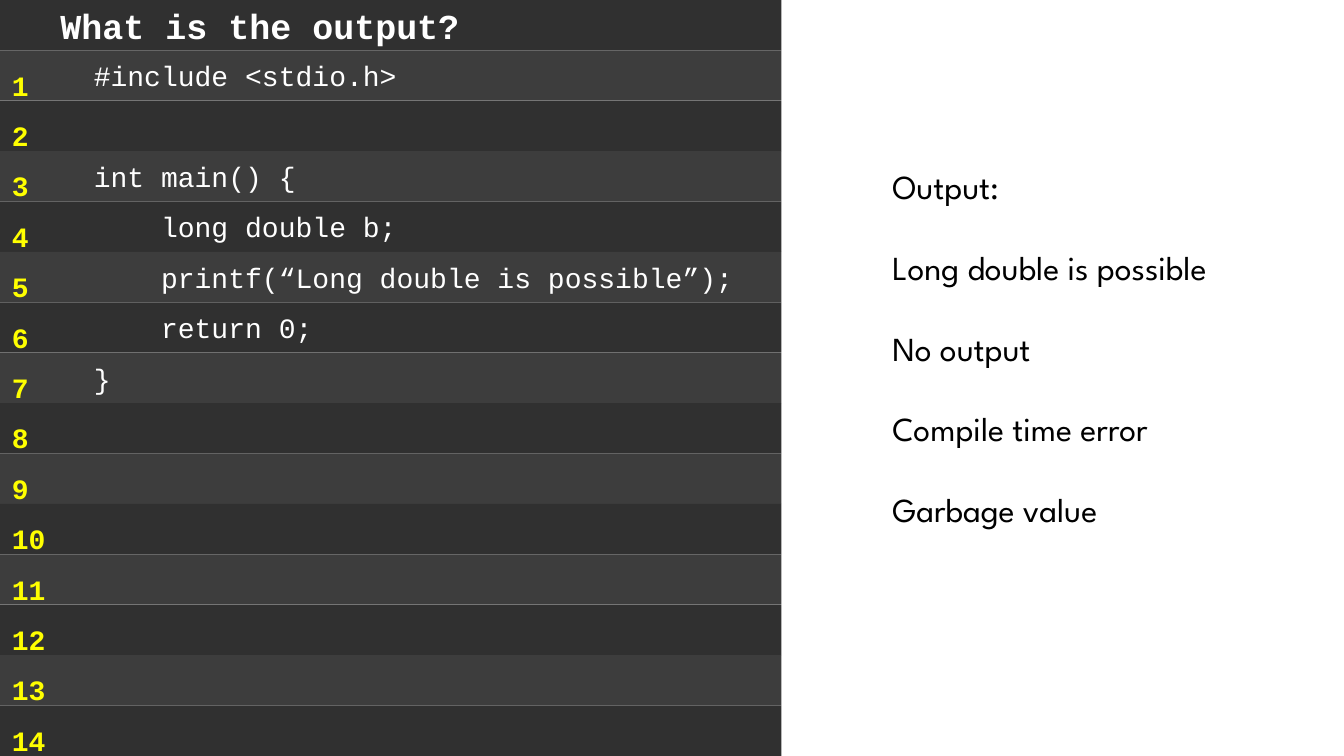
import pptx
import pptx.util
import pptx.dml.color
import pptx.enum.shapes
import pptx.enum.text

TITLE = "What is the output?"
CODE = [
    "#include <stdio.h>",
    "",
    "int main() {",
    "    long double b;",
    "    printf(“Long double is possible”);",
    "    return 0;",
    "}",
]
ANSWERS = [
    "Output:",
    "Long double is possible",
    "No output",
    "Compile time error",
    "Garbage value",
]
COLORS = {
    "dark": "303030",
    "light": "3D3D3D",
    "code": "FFFFFF",
    "number": "FFFF00",
    "answer": "000000",
}
MONO = "Courier New"
SANS = "League Spartan"
LINES = 14
ROW = 0.5
EDITOR_WIDTH = 7.75
TITLE_INSET = 0.6
CODE_INSET = 0.93

Inches = pptx.util.Inches
Pt = pptx.util.Pt


def color(name):
    return pptx.dml.color.RGBColor.from_string(COLORS[name])


def place(shape, left, top, width, height):
    shape.left, shape.top = Inches(left), Inches(top)
    shape.width, shape.height = Inches(width), Inches(height)


def fill(shape, name):
    shape.fill.solid()
    shape.fill.fore_color.rgb = color(name)


def write(para, text, font, size, name, bold=False):
    para.alignment = pptx.enum.text.PP_ALIGN.LEFT
    span = para.add_run()
    span.text = text
    span.font.name = font
    span.font.size = Pt(size)
    span.font.bold = bold
    span.font.color.rgb = color(name)


def set_frame(frame, anchor, inset=0.1, wrap=True):
    frame.word_wrap = wrap
    frame.auto_size = pptx.enum.text.MSO_AUTO_SIZE.NONE
    frame.vertical_anchor = anchor
    frame.margin_left = Inches(inset)


def paragraphs(frame, texts):
    for index, text in enumerate(texts):
        para = frame.add_paragraph() if index else frame.paragraphs[0]
        yield index, para, text


deck = pptx.Presentation()
deck.slide_width, deck.slide_height = Inches(13.33), Inches(7.5)
page = deck.slides.add_slide(deck.slide_layouts[1])
MIDDLE = pptx.enum.text.MSO_ANCHOR.MIDDLE
TOP = pptx.enum.text.MSO_ANCHOR.TOP

title = page.shapes.title
place(title, 0, 0, EDITOR_WIDTH, ROW)
fill(title, "dark")
set_frame(title.text_frame, MIDDLE, TITLE_INSET)
write(title.text_frame.paragraphs[0], TITLE, MONO, 25, "code", True)

for line in range(LINES):
    row = page.shapes.add_shape(
        pptx.enum.shapes.MSO_SHAPE.RECTANGLE,
        0, Inches(ROW * (line + 1)), Inches(EDITOR_WIDTH), Inches(ROW),
    )
    row.shadow.inherit = False
    row.line.fill.background()
    fill(row, "dark" if line % 2 else "light")
    if line < len(CODE) and CODE[line]:
        set_frame(row.text_frame, MIDDLE, CODE_INSET)
        write(row.text_frame.paragraphs[0], CODE[line], MONO, 20, "code")

numbers = page.shapes.add_textbox(0, 0, 0, 0)
place(numbers, 0.02, 0.46, 0.56, 7.04)
set_frame(numbers.text_frame, TOP)
labels = [str(line + 1) for line in range(LINES)]
for index, para, text in paragraphs(numbers.text_frame, labels):
    para.line_spacing = Pt(ROW * 72)
    write(para, text, MONO, 20, "number", True)

answers = page.placeholders[1]
place(answers, 8.75, 1.6, 3.67, 4.14)
set_frame(answers.text_frame, TOP, wrap=False)
for index, para, text in paragraphs(answers.text_frame, ANSWERS):
    properties = para._p.get_or_add_pPr()
    properties.set("marL", "0")
    properties.set("indent", "0")
    properties.append(pptx.oxml.parse_xml(
        '<a:buNone xmlns:a="http://schemas.openxmlformats.org/drawingml/2006/main"/>'
    ))
    para.space_before = Pt(28.8 if index else 0)
    write(para, text, SANS, 24, "answer")

deck.save("out.pptx")
